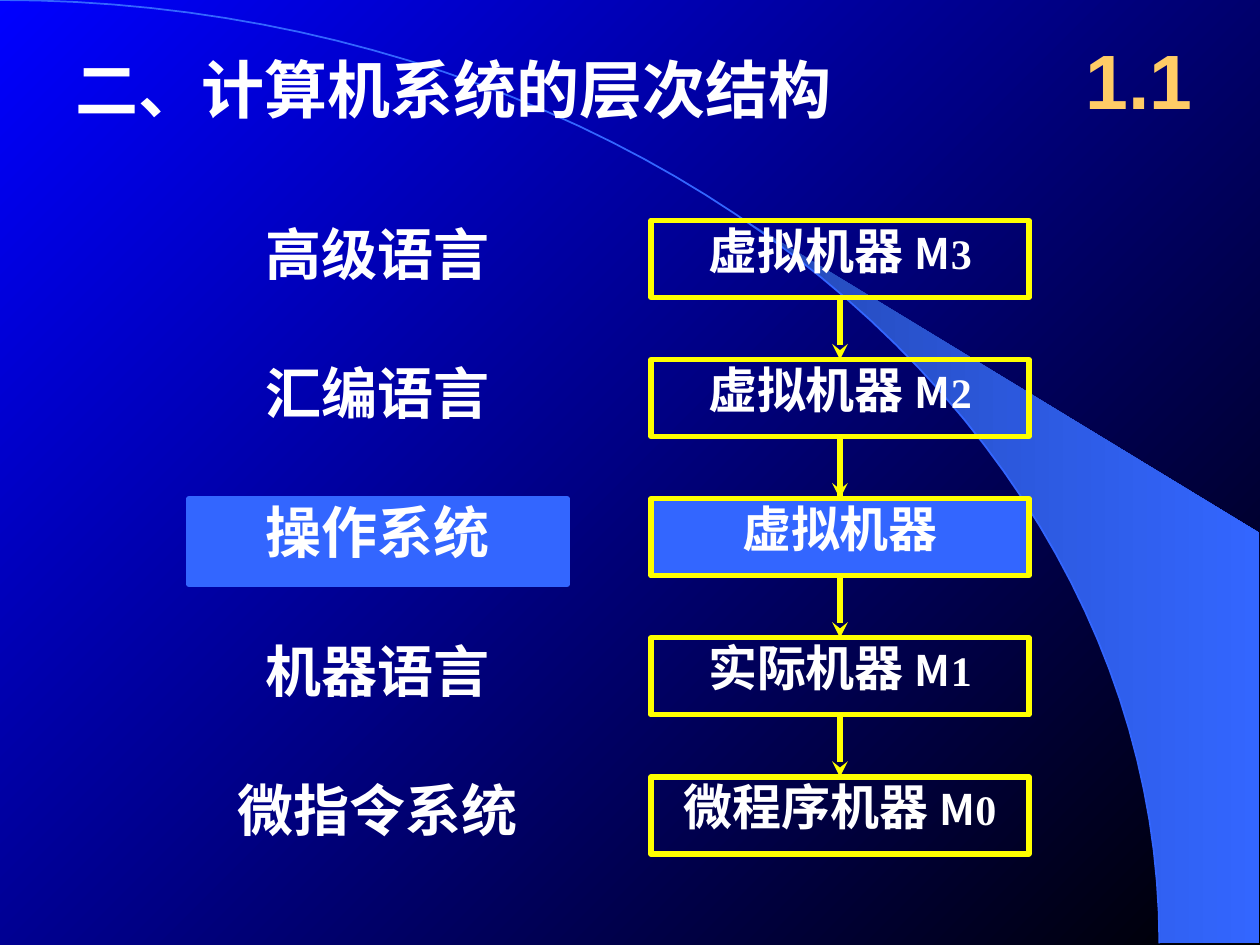
from math import acos, cos, pi, sin

from lxml.etree import SubElement
from pptx import Presentation
from pptx.dml.color import RGBColor
from pptx.enum.shapes import MSO_CONNECTOR as Connector, MSO_SHAPE as Shape
from pptx.enum.text import MSO_ANCHOR as Anchor, PP_ALIGN as Align
from pptx.oxml.ns import qn
from pptx.util import Pt

CJK, SERIF, SANS = "Noto Sans CJK SC", "Times New Roman", "Arial"
WHITE, YELLOW, BLUE, GOLD = "FFFFFF", "FFFF00", "3366FF", "FFCC66"
WIDTH, HEIGHT = 720, 540
ARC_WIDTH, ARC_HEIGHT = 662.5, 539
WEDGE_TOP = 124.5
LABEL_LEFT, BOX_LEFT, COLUMN_WIDTH = 108, 372, 216
FIRST_TOP, PITCH, BOX_HEIGHT, LABEL_HEIGHT = 126, 79.5, 44, 45

LEVELS = [
    ("高级语言", "虚拟机器", "3"),
    ("汇编语言", "虚拟机器", "2"),
    ("操作系统", "虚拟机器", ""),
    ("机器语言", "实际机器", "1"),
    ("微指令系统", "微程序机器", "0"),
]
ARROWS = [(1, 3), (1, 2), (0, 1), (3, 4)]


def color(value):
    return RGBColor.from_string(value)


def row_top(row):
    return FIRST_TOP + row * PITCH


def paint_gradient(fill, colors, angle):
    fill.gradient()
    fill.gradient_angle = angle
    for stop, value, position in zip(fill.gradient_stops, colors, (0, 1)):
        stop.color.rgb = color(value)
        stop.position = position


def arc_points(start, steps=48):
    angles = [start + (pi / 2 - start) * step / steps for step in range(steps + 1)]
    return [(ARC_WIDTH * sin(a), ARC_HEIGHT * (1 - cos(a))) for a in angles]


def add_outline(page, points, close):
    builder = page.shapes.build_freeform(*map(Pt, points[0]))
    builder.add_line_segments([(Pt(x), Pt(y)) for x, y in points[1:]], close=close)
    shape = builder.convert_to_shape()
    shape.shadow.inherit = False
    return shape


def add_backdrop(page):
    paint_gradient(page.background.fill, ("0000FF", "000000"), 315)
    corners = [(719.5, ARC_HEIGHT), (719.5, 304.5)]
    edge = arc_points(acos(1 - WEDGE_TOP / ARC_HEIGHT))
    wedge = add_outline(page, edge + corners, True)
    paint_gradient(wedge.fill, ("2449B6", BLUE), 0)
    wedge.line.fill.background()
    arc = add_outline(page, arc_points(0), False)
    arc.fill.background()
    arc.line.color.rgb = color(BLUE)
    arc.line.width = Pt(1)


def add_arrow(page, x, top, bottom):
    arrow = page.shapes.add_connector(Connector.STRAIGHT, Pt(x), Pt(top), Pt(x), Pt(bottom))
    arrow.line.color.rgb = color(YELLOW)
    arrow.line.width = Pt(3)
    SubElement(arrow.line._get_or_add_ln(), qn("a:tailEnd")).set("type", "stealth")
    SubElement(arrow._element.spPr, qn("a:effectLst"))


def add_box(page, left, top, width, height, fill=None, line=None):
    box = page.shapes.add_shape(Shape.RECTANGLE, Pt(left), Pt(top), Pt(width), Pt(height))
    box.shadow.inherit = False
    if fill:
        box.fill.solid()
        box.fill.fore_color.rgb = color(fill)
    else:
        box.fill.background()
    box.line.color.rgb = color(line)
    box.line.width = Pt(3)
    return box


def add_text_box(page, left, top, width, height):
    return page.shapes.add_textbox(Pt(left), Pt(top), Pt(width), Pt(height))


def write(box, pieces, ink=WHITE, align=Align.CENTER, anchor=Anchor.TOP, spacing=0.9):
    frame = box.text_frame
    frame.word_wrap = True
    frame.vertical_anchor = anchor
    para = frame.paragraphs[0]
    para.alignment = align
    para.line_spacing = spacing
    for text, size, name in pieces:
        span = para.add_run()
        span.text = text
        span.font.size = Pt(size)
        span.font.bold = True
        span.font.name = name
        span.font.color.rgb = color(ink)
        SubElement(span.font._element, qn("a:ea")).set("typeface", CJK)


def add_level(page, row, language, machine, number):
    top = row_top(row)
    fill = None if number else BLUE
    if fill:
        label = add_box(page, LABEL_LEFT, top, COLUMN_WIDTH, 49, fill, fill)
    else:
        label = add_text_box(page, LABEL_LEFT, top, COLUMN_WIDTH, LABEL_HEIGHT)
    write(label, [(language, 32, CJK)])
    pieces = [(machine, 28, CJK)]
    if number:
        pieces = [(machine + " ", 28, CJK), ("M", 24, CJK), (number, 24, SERIF)]
    write(add_box(page, BOX_LEFT, top, COLUMN_WIDTH, BOX_HEIGHT, fill, YELLOW), pieces)


def main():
    deck = Presentation()
    deck.slide_width, deck.slide_height = Pt(WIDTH), Pt(HEIGHT)
    page = deck.slides.add_slide(deck.slide_layouts[6])
    add_backdrop(page)
    for start, end in ARROWS:
        add_arrow(page, BOX_LEFT + COLUMN_WIDTH / 2, row_top(start) + BOX_HEIGHT + 1, row_top(end))
    title = add_text_box(page, 36, 30, 612, 72)
    write(title, [("二、计算机系统的层次结构", 36, SERIF)], align=Align.LEFT)
    for row, level in enumerate(LEVELS):
        add_level(page, row, *level)
    section = add_text_box(page, 606, 12, 90, 66)
    write(section, [("1.1", 44, SANS)], GOLD, anchor=Anchor.MIDDLE, spacing=1.0)
    deck.save("out.pptx")


main()
